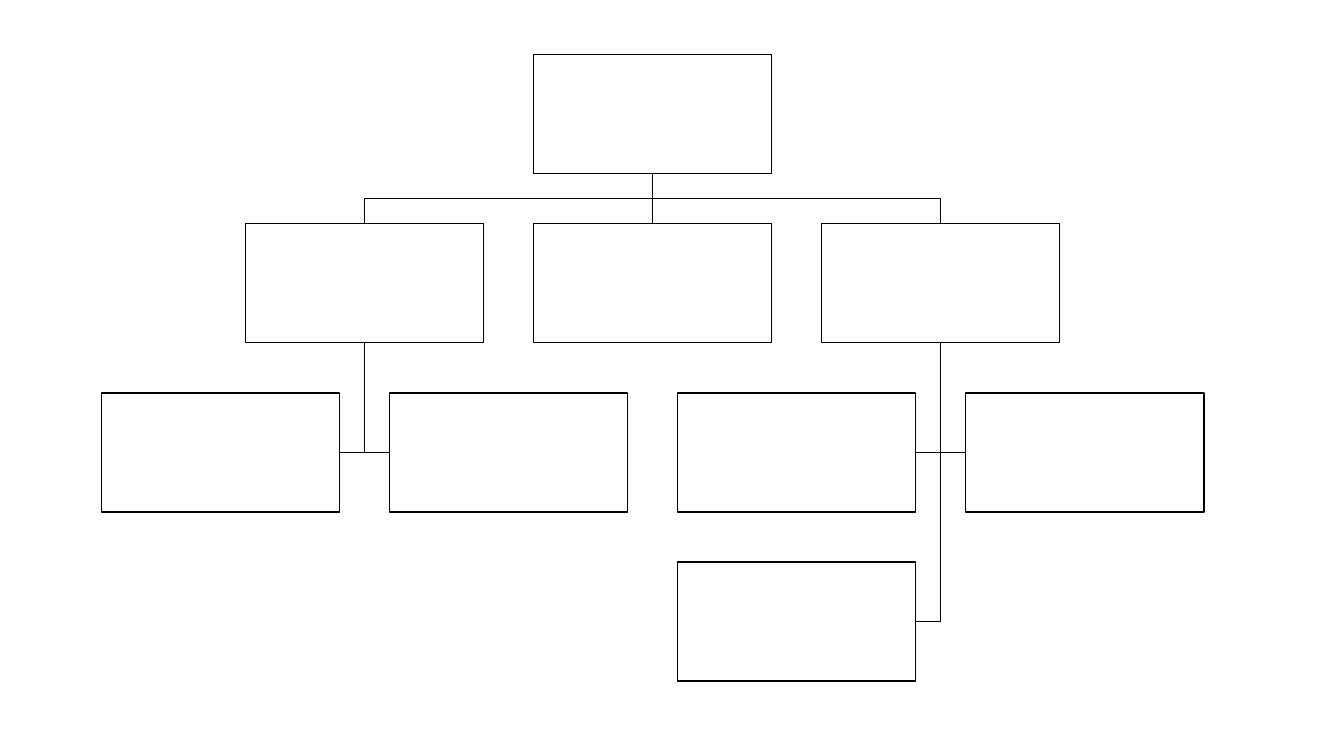
from dataclasses import dataclass

from lxml.etree import SubElement
from pptx import Presentation
from pptx.dml.color import RGBColor
from pptx.enum.shapes import MSO_CONNECTOR as Connector, MSO_SHAPE as Preset
from pptx.oxml.ns import qn
from pptx.shapes.autoshape import Shape
from pptx.shapes.group import GroupShape
from pptx.util import Cm, Pt

COLOURS = {"box": "FFFFFF", "line": "000000"}
BOX_WIDTH, BOX_HEIGHT = Cm(6), Cm(3)
LEFT, TOP = Cm(2.56), Cm(1.38)
COLUMN_STEP, ROW_STEP = Cm(7.26), Cm(4.26)
LINE_WIDTH = Pt(1)


@dataclass(frozen=True)
class Position:
    key: str
    column: float
    row: int
    parent: str = ""
    hangs_beside: bool = False


POSITIONS = [
    Position("head", 1.5, 0),
    Position("left branch", 0.5, 1, "head"),
    Position("middle branch", 1.5, 1, "head"),
    Position("right branch", 2.5, 1, "head"),
    Position("left team 1", 0, 2, "left branch", True),
    Position("left team 2", 1, 2, "left branch", True),
    Position("right team 1", 2, 2, "right branch", True),
    Position("right team 2", 3, 2, "right branch", True),
    Position("right team 3", 2, 3, "right branch", True),
]


def colour(key: str) -> RGBColor:
    return RGBColor.from_string(COLOURS[key])


def draw_box(chart: GroupShape, position: Position) -> Shape:
    left = LEFT + round(position.column * COLUMN_STEP)
    top = TOP + position.row * ROW_STEP
    box = chart.shapes.add_shape(Preset.RECTANGLE, left, top, BOX_WIDTH, BOX_HEIGHT)
    box.shadow.inherit = False
    box.fill.solid()
    box.fill.fore_color.rgb = colour("box")
    box.line.color.rgb = colour("line")
    box.line.width = LINE_WIDTH
    return box


def draw_straight(chart: GroupShape, parent: Shape, child: Shape) -> None:
    middle = parent.left + parent.width // 2
    link = chart.shapes.add_connector(
        Connector.STRAIGHT, middle, parent.top + parent.height, middle, child.top
    )
    link.begin_connect(parent, 2)
    link.end_connect(child, 0)
    link.line.color.rgb = colour("line")
    link.line.width = LINE_WIDTH
    SubElement(link._element.spPr, qn("a:effectLst"))


def draw_elbow(chart: GroupShape, parent: Shape, child: Shape, beside: bool) -> None:
    start_x, start_y = parent.left + parent.width // 2, parent.top + parent.height
    if beside:
        side = child.left if child.left > start_x else child.left + child.width
        middle = child.top + child.height // 2
        corners = [(start_x, middle), (side, middle)]
    else:
        end_x = child.left + child.width // 2
        middle = (start_y + child.top) // 2
        corners = [(start_x, middle), (end_x, middle), (end_x, child.top)]
    builder = chart.shapes.build_freeform(start_x, start_y)
    builder.add_line_segments(corners, close=False)
    elbow = builder.convert_to_shape()
    elbow.shadow.inherit = False
    elbow.fill.background()
    elbow.line.color.rgb = colour("line")
    elbow.line.width = LINE_WIDTH


def main() -> None:
    deck = Presentation()
    deck.slide_width, deck.slide_height = Cm(33.87), Cm(19.05)
    page = deck.slides.add_slide(deck.slide_layouts[6])
    chart = page.shapes.add_group_shape()
    boxes = {position.key: draw_box(chart, position) for position in POSITIONS}
    for position in POSITIONS:
        if not position.parent:
            continue
        parent, child = boxes[position.parent], boxes[position.key]
        if parent.left == child.left:
            draw_straight(chart, parent, child)
        else:
            draw_elbow(chart, parent, child, position.hangs_beside)
    deck.save("out.pptx")


if __name__ == "__main__":
    main()
